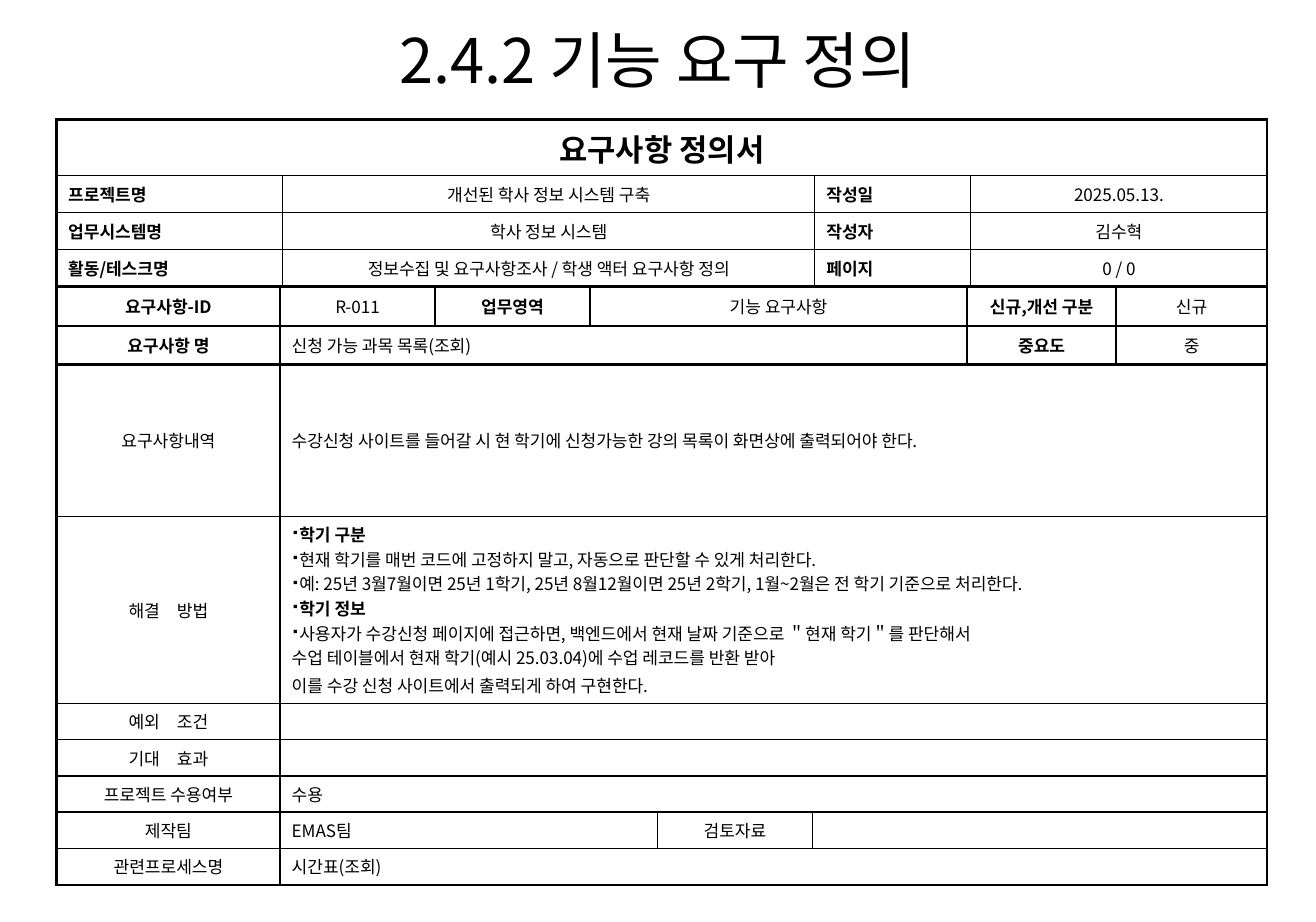
import pptx
import pptx.dml.color
import pptx.enum.text
import pptx.oxml.ns
import pptx.util
from lxml import etree

Cm, Pt = pptx.util.Cm, pptx.util.Pt
ALIGN = pptx.enum.text.PP_ALIGN
MIDDLE = pptx.enum.text.MSO_ANCHOR.MIDDLE
qn = pptx.oxml.ns.qn

FONT = "Noto Sans CJK KR"
COLORS = {"ink": "000000"}
THIN, THICK = 1, 1.5

STYLES = {
    "title": {"size": 36, "bold": False, "align": ALIGN.CENTER, "spacing": 1.1},
    "heading": {"size": 18, "bold": True, "align": ALIGN.CENTER},
    "key": {"size": 10, "bold": True, "align": ALIGN.JUSTIFY},
    "label": {"size": 10, "bold": True, "align": ALIGN.CENTER},
    "value": {"size": 10, "bold": False, "align": ALIGN.CENTER},
    "note": {"size": 10, "bold": False, "align": ALIGN.LEFT},
    "point": {"size": 10, "bold": False, "align": ALIGN.LEFT, "bullet": "▪"},
    "topic": {"size": 10, "bold": True, "align": ALIGN.LEFT, "bullet": "▪"},
    "closing": {"size": 10, "bold": False, "align": ALIGN.LEFT, "before": 2},
}

TITLE = "2.4.2 기능 요구 정의"

SOLUTION = [
    ("학기 구분", "topic"),
    ("현재 학기를 매번 코드에 고정하지 말고, 자동으로 판단할 수 있게 처리한다.", "point"),
    ("예: 25년 3월7월이면 25년 1학기, 25년 8월12월이면 25년 2학기, "
     "1월~2월은 전 학기 기준으로 처리한다.", "point"),
    ("학기 정보", "topic"),
    ("사용자가 수강신청 페이지에 접근하면, 백엔드에서 현재 날짜 기준으로 ＂현재 학기＂를 판단해서", "point"),
    ("수업 테이블에서 현재 학기(예시 25.03.04)에 수업 레코드를 반환 받아", "note"),
    ("이를 수강 신청 사이트에서 출력되게 하여 구현한다.", "closing"),
]

REQUEST = {
    "left": 1.17, "top": 5.93,
    "widths": [4.62, 3.2, 3.2, 1.4, 3.2, 3.2, 3.08, 3.12],
    "heights": [0.8, 0.8, 3.14, 3.86] + [0.75] * 5,
    "thick_lines": {0, 1, 2, 9},
    "rows": [
        [("요구사항-ID", "label", 1), ("R-011", "value", 1), ("업무영역", "label", 1),
         ("기능 요구사항", "value", 3), ("신규,개선 구분", "label", 1), ("신규", "value", 1)],
        [("요구사항 명", "label", 1), ("신청 가능 과목 목록(조회)", "note", 5),
         ("중요도", "label", 1), ("중", "value", 1)],
        [("요구사항내역", "value", 1),
         ("수강신청 사이트를 들어갈 시 현 학기에 신청가능한 강의 목록이 화면상에 출력되어야 한다.", "note", 7)],
        [("해결　방법", "value", 1), (SOLUTION, "note", 7)],
        [("예외　조건", "value", 1), ("", "note", 7)],
        [("기대　효과", "value", 1), ("", "note", 7)],
        [("프로젝트 수용여부", "value", 1), ("수용", "note", 7)],
        [("제작팀", "value", 1), ("EMAS팀", "note", 3), ("검토자료", "value", 1), ("", "note", 3)],
        [("관련프로세스명", "value", 1), ("시간표(조회)", "note", 7)],
    ],
}

HEADER = {
    "left": 1.17, "top": 2.47,
    "widths": [4.67, 11, 3.22, 6.13],
    "heights": [1.16] + [0.76] * 3,
    "thick_lines": {0, 4},
    "rows": [
        [("요구사항 정의서", "heading", 4)],
        [("프로젝트명", "key", 1), ("개선된 학사 정보 시스템 구축", "value", 1),
         ("작성일", "key", 1), ("2025.05.13.", "value", 1)],
        [("업무시스템명", "key", 1), ("학사 정보 시스템", "value", 1),
         ("작성자", "key", 1), ("김수혁", "value", 1)],
        [("활동/테스크명", "key", 1), ("정보수집 및 요구사항조사 / 학생 액터 요구사항 정의", "value", 1),
         ("페이지", "key", 1), ("0 / 0", "value", 1)],
    ],
}


def write_paragraph(paragraph, text, style):
    look = STYLES[style]
    layout = {"alignment": look["align"], "line_spacing": look.get("spacing", 1.0),
              "space_before": Pt(look.get("before", 0))}
    for key, value in layout.items():
        setattr(paragraph, key, value)
    if not text:
        etree.SubElement(paragraph._p, qn("a:endParaRPr"), sz=str(look["size"] * 100))
        return
    if "bullet" in look:
        props = paragraph._p.get_or_add_pPr()
        props.set("marL", "0")
        props.set("indent", "0")
        etree.SubElement(props, qn("a:buSzPct"), val="60000")
        etree.SubElement(props, qn("a:buChar"), char=look["bullet"])
    run = paragraph.add_run()
    run.text = text
    for key, value in {"size": Pt(look["size"]), "bold": look["bold"], "name": FONT}.items():
        setattr(run.font, key, value)
    run.font.color.rgb = pptx.dml.color.RGBColor.from_string(COLORS["ink"])
    run_props = run._r.get_or_add_rPr()
    run_props.set("kern", "0")
    etree.SubElement(run_props, qn("a:ea"), typeface=FONT)


def write_text(frame, content, style):
    lines = content if isinstance(content, list) else [(content, style)]
    for index, (text, line_style) in enumerate(lines):
        paragraph = frame.add_paragraph() if index else frame.paragraphs[0]
        write_paragraph(paragraph, text, line_style)


def draw_borders(cell, borders):
    props = cell._tc.get_or_add_tcPr()
    for position, (side, width) in enumerate(borders.items()):
        line = etree.Element(qn(f"a:ln{side}"), w=str(Pt(width)))
        fill = etree.SubElement(line, qn("a:solidFill"))
        etree.SubElement(fill, qn("a:srgbClr"), val=COLORS["ink"])
        props.insert(position, line)


def add_form(slide, form):
    widths, heights = form["widths"], form["heights"]
    table = slide.shapes.add_table(
        len(heights), len(widths), Cm(form["left"]), Cm(form["top"]),
        Cm(sum(widths)), Cm(sum(heights))).table
    table.first_row = table.horz_banding = False
    for column, width in zip(table.columns, widths):
        column.width = Cm(width)
    for row, height in zip(table.rows, heights):
        row.height = Cm(height)
    cell_format = {"margin_left": Cm(0.24), "margin_right": Cm(0.24),
                   "margin_top": Cm(0.11), "margin_bottom": Cm(0.11),
                   "vertical_anchor": MIDDLE}
    for r, entries in enumerate(form["rows"]):
        top, bottom = (THICK if edge in form["thick_lines"] else THIN for edge in (r, r + 1))
        first = 0
        for content, style, span in entries:
            last = first + span - 1
            cell = table.cell(r, first)
            if span > 1:
                cell.merge(table.cell(r, last))
            for key, value in cell_format.items():
                setattr(cell, key, value)
            write_text(cell.text_frame, content, style)
            right = THICK if last == len(widths) - 1 else THIN
            for c in range(first, last + 1):
                borders = {}
                if c == first:
                    borders["L"] = THIN if c else THICK
                if c in (first, last):
                    borders["R"] = right
                table.cell(r, c).fill.background()
                draw_borders(table.cell(r, c), {**borders, "T": top, "B": bottom})
            first = last + 1


def main():
    deck = pptx.Presentation()
    deck.slide_width, deck.slide_height = Cm(27.2), Cm(19.05)
    slide = deck.slides.add_slide(deck.slide_layouts[6])
    for form in (REQUEST, HEADER):
        add_form(slide, form)
    title = slide.shapes.add_textbox(Cm(4.55), Cm(0.18), Cm(18.08), Cm(3.66)).text_frame
    title.word_wrap = True
    write_text(title, TITLE, "title")
    deck.save("out.pptx")


if __name__ == "__main__":
    main()
